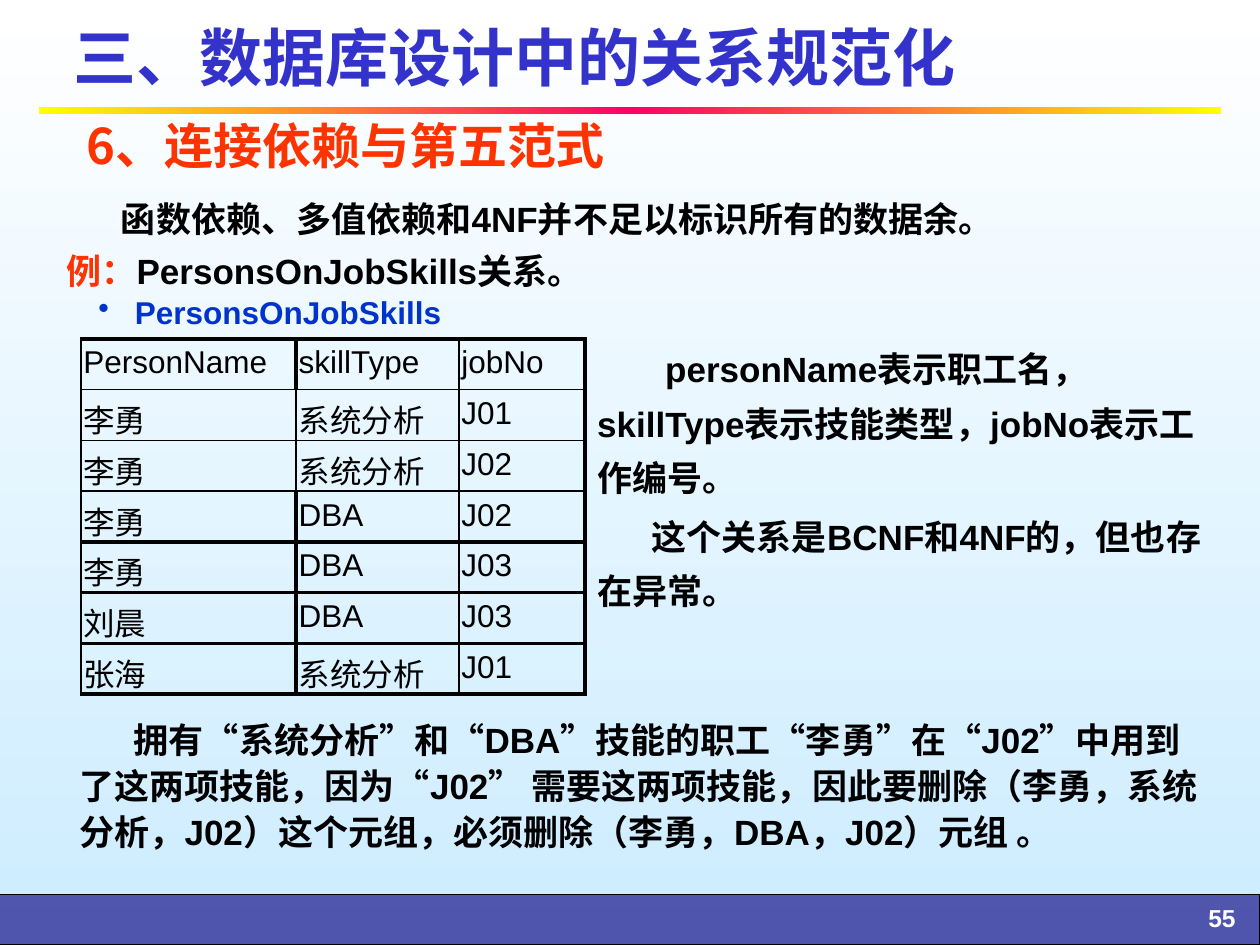
from copy import deepcopy

from pptx import Presentation
from pptx.dml.color import RGBColor
from pptx.enum.shapes import MSO_SHAPE
from pptx.enum.text import MSO_ANCHOR, MSO_AUTO_SIZE, PP_ALIGN
from pptx.oxml import parse_xml
from pptx.oxml.ns import nsdecls, qn
from pptx.util import Cm, Pt

COLORS = {
    "white": "FFFFFF", "sky": "CCECFF", "navy": "333399", "black": "000000",
    "yellow": "FFFF00", "pink": "FF0066", "title": "3333CC", "accent": "FF3300", "blue": "0033CC",
}
LATIN, CJK = "Arial", "Noto Sans CJK SC"
RELATION = [
    ("PersonName", "skillType", "jobNo"),
    ("李勇", "系统分析", "J01"),
    ("李勇", "系统分析", "J02"),
    ("李勇", "DBA", "J02"),
    ("李勇", "DBA", "J03"),
    ("刘晨", "DBA", "J03"),
    ("张海", "系统分析", "J01"),
]
COLUMN_WIDTHS = (4.34, 3.28, 2.54)
THIN, THICK = 1, 2.25
ROW_RULES = [THICK] + [THIN] * 3 + [THICK] * 4


def rgb(name):
    """Return the named colour."""
    return RGBColor.from_string(COLORS[name])


def write(paragraph, text, size=20, color="black", font=LATIN, bold=True, align=PP_ALIGN.LEFT,
          spacing=None, before=0, indent=0, margin=0, bullet=None):
    """Append a formatted run to a paragraph and set the paragraph format."""
    properties = paragraph._p.get_or_add_pPr()
    properties.set("marL", str(Cm(margin)))
    properties.set("indent", str(Cm(indent)))
    paragraph.alignment = align
    paragraph.space_before = Pt(before)
    if spacing:
        paragraph.line_spacing = spacing
    if bullet:
        properties.append(parse_xml(f'<a:buChar {nsdecls("a")} char="{bullet}"/>'))
    run = paragraph.add_run()
    run.text = text
    run.font.size, run.font.bold, run.font.name = Pt(size), bold, font
    run.font.color.rgb = rgb(color)
    run._r.get_or_add_rPr().append(parse_xml(f'<a:ea {nsdecls("a")} typeface="{CJK}"/>'))


def add_text_frame(slide, box, anchor=MSO_ANCHOR.TOP, wrap=True):
    """Add a text box and return its frame."""
    frame = slide.shapes.add_textbox(*map(Cm, box)).text_frame
    frame.word_wrap, frame.vertical_anchor = wrap, anchor
    return frame


def add_bar(slide, box):
    """Add a plain rectangle without a line or shadow."""
    bar = slide.shapes.add_shape(MSO_SHAPE.RECTANGLE, *map(Cm, box))
    bar.shadow.inherit = False
    bar.line.fill.background()
    return bar


def paint_background(slide):
    """Shade the slide from white at the top to sky blue."""
    fill = slide.background.fill
    fill.gradient()
    fill.gradient_angle = 270
    for stop, color, position in zip(fill.gradient_stops, ("white", "sky"), (0, 1)):
        stop.color.rgb, stop.position = rgb(color), position


def add_footer(slide, box, page):
    """Add the translucent footer band with the page number."""
    left, top, width, height = box
    band = add_bar(slide, box)
    band.fill.solid()
    band.fill.fore_color.rgb = rgb("navy")
    color = band._element.spPr.find(qn("a:solidFill"))[0]
    color.append(parse_xml(f'<a:alpha {nsdecls("a")} val="81000"/>'))
    band.line.color.rgb, band.line.width = rgb("black"), Pt(0.75)
    number = add_text_frame(slide, (left + width - 2.7, top + 0.05, 2.46, 0.76))
    write(number.paragraphs[0], page, size=14, color="white", align=PP_ALIGN.RIGHT)


def add_header(slide, box, title, section):
    """Place the title, the gradient rule and the section heading."""
    left, top, width, height = box
    rule = add_bar(slide, (left, top + 1.98, width, 0.15))
    rule.fill.gradient()
    rule.fill.gradient_angle = 0
    stop_list = rule._element.spPr.find(qn("a:gradFill")).find(qn("a:gsLst"))
    stop_list.append(deepcopy(stop_list[0]))
    for stop, color, position in zip(rule.fill.gradient_stops, ("yellow", "pink", "yellow"), (0, 0.5, 1)):
        stop.color.rgb, stop.position = rgb(color), position

    heading = slide.shapes.title
    heading.left, heading.top, heading.width, heading.height = map(Cm, (left + 0.43, top, 19.51, 1.93))
    heading.text_frame.vertical_anchor = MSO_ANCHOR.MIDDLE
    heading.text_frame.auto_size = MSO_AUTO_SIZE.NONE
    write(heading.text_frame.paragraphs[0], title, size=36, color="title")

    subheading = add_text_frame(slide, (left + 0.71, top + 1.9, 13.67, 1.7), MSO_ANCHOR.MIDDLE, wrap=False)
    write(subheading.paragraphs[0], section, size=28, color="accent", font=CJK)


def add_introduction(slide, box):
    """Add the opening statement and the example line."""
    frame = add_text_frame(slide, box)
    write(frame.paragraphs[0], "函数依赖、多值依赖和4NF并不足以标识所有的数据余。", spacing=1.2, indent=1.1)
    example = frame.add_paragraph()
    write(example, "例：", color="accent", spacing=1.2, before=1)
    write(example, "PersonsOnJobSkills关系。", spacing=1.2, before=1)


def set_borders(cell, **widths):
    """Draw the cell's sides in black at the given point widths."""
    properties = cell._tc.get_or_add_tcPr()
    for index, (side, width) in enumerate(widths.items()):
        properties.insert(index, parse_xml(
            f'<a:{side} {nsdecls("a")} w="{Pt(width)}"><a:solidFill>'
            f'<a:srgbClr val="{COLORS["black"]}"/></a:solidFill></a:{side}>'))


def add_relation(slide, box, caption):
    """Add the captioned relation table."""
    left, top, width, height = box
    label = add_text_frame(slide, (left - 0.23, top - 1.19, 8.08, 1.3), MSO_ANCHOR.MIDDLE)
    write(label.paragraphs[0], caption, size=18, color="blue", align=PP_ALIGN.CENTER,
          margin=0.74, indent=-0.74, bullet="•")

    table = slide.shapes.add_table(len(RELATION), len(COLUMN_WIDTHS), *map(Cm, box)).table
    table.first_row = table.horz_banding = False
    for column, column_width in zip(table.columns, COLUMN_WIDTHS):
        column.width = Cm(column_width)
    for row_index, values in enumerate(RELATION):
        name_rule = THIN if row_index in (1, 2) else THICK
        column_rules = (THIN, name_rule, THIN, THICK)
        for column_index, value in enumerate(values):
            cell = table.cell(row_index, column_index)
            cell.fill.background()
            cell.margin_left = cell.margin_right = Cm(0.05)
            cell.margin_top = cell.margin_bottom = Cm(0.13)
            write(cell.text_frame.paragraphs[0], value, size=18, bold=False)
            set_borders(cell, lnL=column_rules[column_index], lnR=column_rules[column_index + 1],
                        lnT=ROW_RULES[row_index], lnB=ROW_RULES[row_index + 1])


def add_explanation(slide, box):
    """Explain the attributes and the normal form beside the table."""
    frame = add_text_frame(slide, box)
    write(frame.paragraphs[0], "personName表示职工名，skillType表示技能类型，jobNo表示工作编号。",
          spacing=1.3, indent=1.37)
    write(frame.add_paragraph(), "这个关系是BCNF和4NF的，但也存在异常。", spacing=1.3, before=2, indent=1.1)


def add_conclusion(slide, box):
    """Describe the deletion anomaly below the table."""
    frame = add_text_frame(slide, box)
    write(frame.paragraphs[0],
          "拥有“系统分析”和“DBA”技能的职工“李勇”在“J02”中用到了这两项技能，"
          "因为“J02” 需要这两项技能，因此要删除（李勇，系统分析，J02）这个元组，"
          "必须删除（李勇，DBA，J02）元组 。", spacing=1.1, indent=1.1)


def main():
    """Build the slide and save it."""
    presentation = Presentation()
    presentation.slide_width, presentation.slide_height = Cm(25.4), Cm(19.05)
    slide = presentation.slides.add_slide(presentation.slide_layouts[5])
    paint_background(slide)
    add_footer(slide, (-0.02, 18.03, 25.42, 1.02), "55")
    add_header(slide, (0.79, 0.18, 23.83, 3.6), "三、数据库设计中的关系规范化", "6、连接依赖与第五范式")
    add_introduction(slide, (1.09, 3.68, 23.7, 2.34))
    add_relation(slide, (1.63, 6.83, 10.16, 7.16), "PersonsOnJobSkills")
    add_explanation(slide, (11.79, 6.63, 12.88, 5.84))
    add_conclusion(slide, (1.35, 14.27, 23.09, 3.05))
    presentation.save("out.pptx")


if __name__ == "__main__":
    main()
